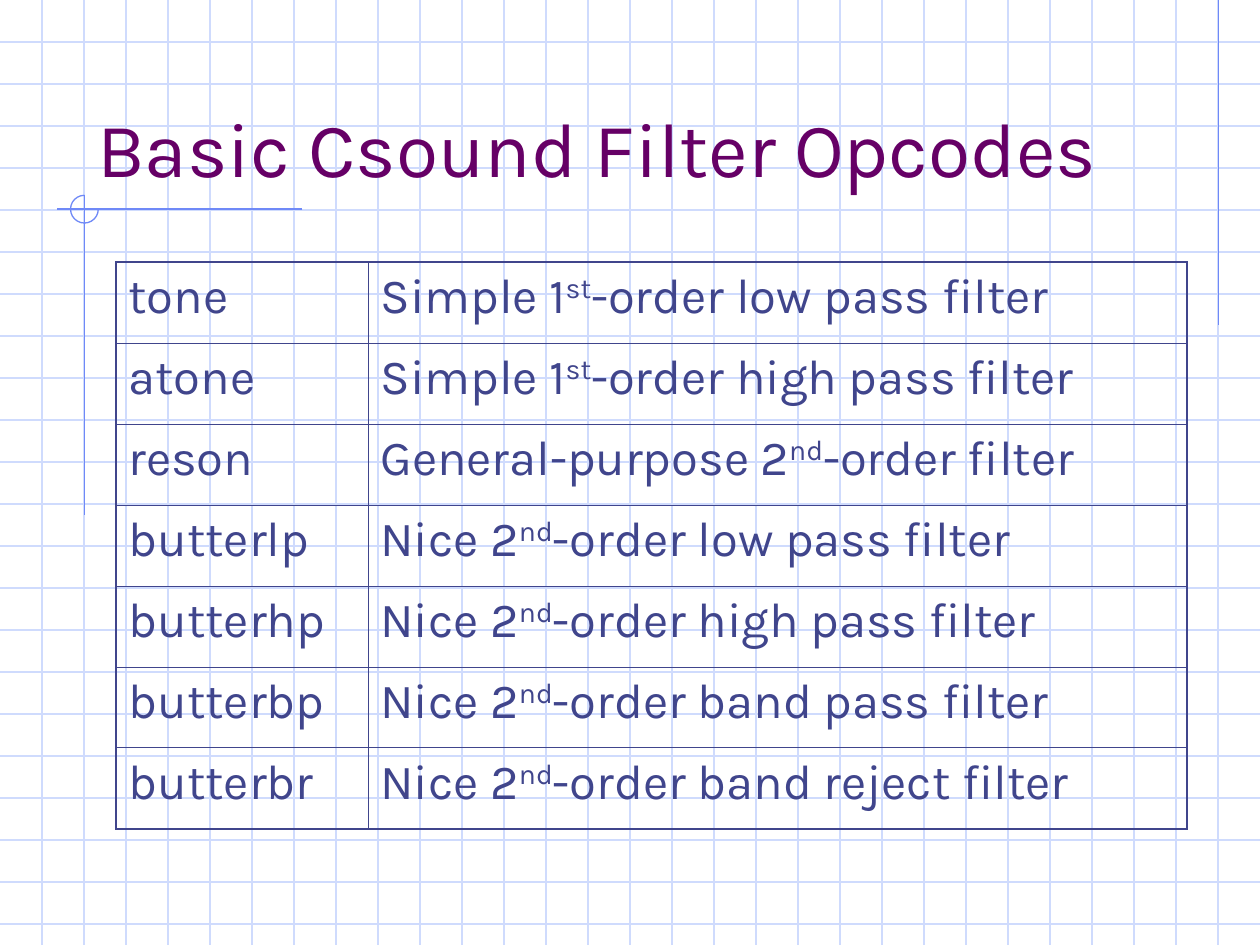
from pptx import Presentation
from pptx import util as u
from pptx.dml.color import RGBColor
from pptx.enum import shapes, text
from pptx.oxml import ns
from lxml import etree

GRID = RGBColor(0xCF, 0xDB, 0xFD)
ACCENT = RGBColor(0x6F, 0x89, 0xF7)
INK = RGBColor(0x40, 0x45, 0x8C)
PLUM = RGBColor(0x66, 0x00, 0x66)
FONT = "Karla"
WIDTH, HEIGHT = 10, 7.5
OPCODES = [
    ("tone", "Simple 1", "st", "-order low pass filter"),
    ("atone", "Simple 1", "st", "-order high pass filter"),
    ("reson", "General-purpose 2", "nd", "-order filter"),
    ("butterlp", "Nice 2", "nd", "-order low pass filter"),
    ("butterhp", "Nice 2", "nd", "-order high pass filter"),
    ("butterbp", "Nice 2", "nd", "-order band pass filter"),
    ("butterbr", "Nice 2", "nd", "-order band reject filter"),
]


def add_line(s, x1, y1, x2, y2, color):
    """Draw a thin straight line without a shadow."""
    ends = [u.Inches(v) for v in (x1, y1, x2, y2)]
    line = s.shapes.add_connector(shapes.MSO_CONNECTOR.STRAIGHT, *ends)
    line.line.color.rgb = color
    line.line.width = u.Pt(0.75)
    etree.SubElement(line._element.spPr, ns.qn("a:effectLst"))


def add_grid(s, width, height, per_inch=3):
    """Rule the background like graph paper."""
    for i in range(1, int(height * per_inch) + 1):
        add_line(s, 0, i / per_inch, width, i / per_inch, GRID)
    for i in range(1, width * per_inch):
        add_line(s, i / per_inch, 0, i / per_inch, height, GRID)


def add_accents(s, x, y, radius=0.11):
    """Draw the accent lines and the open circle centred where they cross."""
    add_line(s, WIDTH - 0.33, 0, WIDTH - 0.33, 2.58, ACCENT)
    add_line(s, 2.4, y, 0.45, y, ACCENT)
    add_line(s, x, y - radius, x, 4.09, ACCENT)
    arc = s.shapes.add_shape(
        shapes.MSO_SHAPE.ARC, u.Inches(x - radius), u.Inches(y - radius),
        u.Inches(2 * radius), u.Inches(2 * radius))
    arc.adjustments[0], arc.adjustments[1] = 0, 162
    arc.shadow.inherit = False
    arc.fill.background()
    arc.line.color.rgb = ACCENT
    arc.line.width = u.Pt(0.75)


def style_font(p, size, color):
    """Set the font of a whole paragraph."""
    p.font.name = FONT
    p.font.size = u.Pt(size)
    p.font.color.rgb = color


def add_title(s, title, x, y, w, h):
    """Place the title placeholder in front of the background."""
    sp = s.shapes.title
    s.shapes._spTree.append(sp._element)
    sp.left, sp.top, sp.width, sp.height = (u.Inches(v) for v in (x, y, w, h))
    tf = sp.text_frame
    tf.text = title
    tf.auto_size = text.MSO_AUTO_SIZE.NONE
    tf.vertical_anchor = text.MSO_ANCHOR.BOTTOM
    p = tf.paragraphs[0]
    p.alignment = text.PP_ALIGN.LEFT
    style_font(p, 44, PLUM)


def set_borders(cell, widths):
    """Give a cell its left, right, top and bottom borders in points."""
    tc_pr = cell._tc.get_or_add_tcPr()
    for side, width in zip("LRTB", widths):
        ln = etree.SubElement(tc_pr, ns.qn(f"a:ln{side}"), w=str(u.Pt(width)))
        fill = etree.SubElement(ln, ns.qn("a:solidFill"))
        etree.SubElement(fill, ns.qn("a:srgbClr"), val=str(INK))


def add_opcode_table(s, rows, x, y, w, h, first_col=2):
    """List each opcode beside its description."""
    table = s.shapes.add_table(
        len(rows), 2, *(u.Inches(v) for v in (x, y, w, h))).table
    table.first_row = table.horz_banding = False
    table.columns[0].width = u.Inches(first_col)
    table.columns[1].width = u.Inches(w - first_col)
    outer, inner = 1.08, 0.45
    for i, (opcode, *description) in enumerate(rows):
        table.rows[i].height = u.Inches(h / len(rows))
        top = outer if i == 0 else inner
        bottom = outer if i == len(rows) - 1 else inner
        for j, parts in enumerate(([opcode], description)):
            cell = table.cell(i, j)
            sides = (inner, outer) if j else (outer, inner)
            set_borders(cell, (*sides, top, bottom))
            cell.fill.background()
            p = cell.text_frame.paragraphs[0]
            p.space_before = u.Pt(7)
            style_font(p, 28, INK)
            for k, part in enumerate(parts):
                r = p.add_run()
                r.text = part
                if k == 1:
                    r._r.get_or_add_rPr().set("baseline", "30000")


def main():
    """Build the slide and save it."""
    prs = Presentation()
    prs.slide_width, prs.slide_height = u.Inches(WIDTH), u.Inches(HEIGHT)
    s = prs.slides.add_slide(prs.slide_layouts[5])
    add_grid(s, WIDTH, HEIGHT)
    add_accents(s, 0.67, 1.66)
    add_title(s, "Basic Csound Filter Opcodes", 0.67, 0.33, 8.5, 1.25)
    add_opcode_table(s, OPCODES, 0.92, 2.08, 8.5, 4.5)
    prs.save("out.pptx")


if __name__ == "__main__":
    main()
